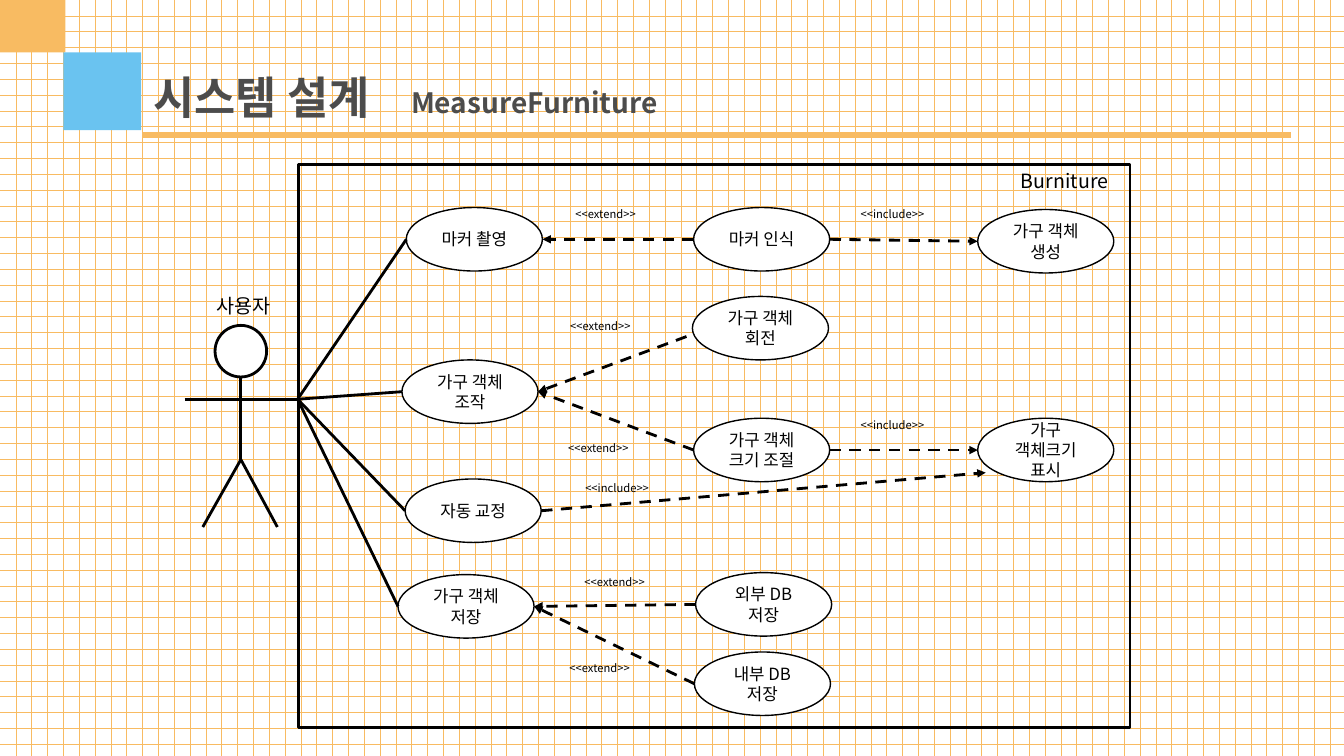
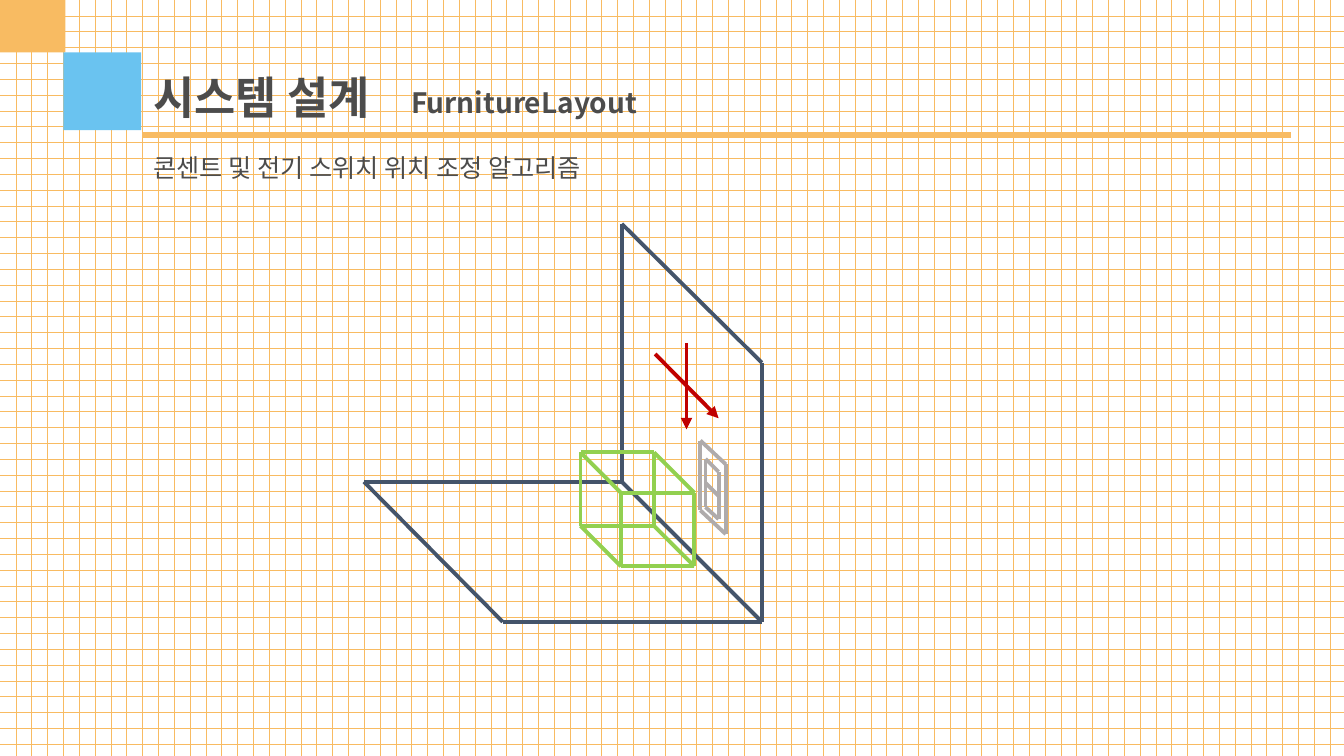
from lxml import etree
from pptx import Presentation
from pptx.dml.color import RGBColor
from pptx.enum.dml import MSO_LINE, MSO_PATTERN_TYPE
from pptx.enum.shapes import MSO_CONNECTOR, MSO_SHAPE
from pptx.enum.text import MSO_ANCHOR, MSO_AUTO_SIZE, PP_ALIGN
from pptx.oxml.ns import qn
from pptx.util import Cm, Pt

STRAIGHT = MSO_CONNECTOR.STRAIGHT
RECT, OVAL = MSO_SHAPE.RECTANGLE, MSO_SHAPE.OVAL
LEFT, CENTER = PP_ALIGN.LEFT, PP_ALIGN.CENTER
TOP, MIDDLE = MSO_ANCHOR.TOP, MSO_ANCHOR.MIDDLE

FONT = "Noto Sans CJK KR"
BLACK = RGBColor(0x00, 0x00, 0x00)
WHITE = RGBColor(0xFF, 0xFF, 0xFF)
GRAY = RGBColor(0x4C, 0x4C, 0x4C)
ORANGE = RGBColor(0xF8, 0xBB, 0x62)
BLUE = RGBColor(0x6A, 0xC3, 0xF0)
NAVY = RGBColor(0x44, 0x54, 0x6A)
SILVER = RGBColor(0xAF, 0xAB, 0xAB)
RED = RGBColor(0xC0, 0x00, 0x00)
GREEN = RGBColor(0x92, 0xD0, 0x50)


def write(tf, text, size=12, bold=False, color=BLACK, align=LEFT, anchor=TOP):
    tf.word_wrap = True
    tf.auto_size = MSO_AUTO_SIZE.NONE
    tf.vertical_anchor = anchor
    p = tf.paragraphs[0]
    p.alignment = align
    r = p.add_run()
    r.text = text
    r.font.size, r.font.bold, r.font.name = Pt(size), bold, FONT
    r.font.color.rgb = color
    etree.SubElement(r.font._element, qn("a:ea"), typeface=FONT)


def line(s, start, end, color=BLACK, width=2, dash=False, arrow=False):
    c = s.shapes.add_connector(STRAIGHT, *[Cm(v) for v in (*start, *end)])
    c.line.color.rgb = color
    c.line.width = Pt(width)
    if dash:
        c.line.dash_style = MSO_LINE.DASH
    spPr = c._element.spPr
    if arrow:
        etree.SubElement(spPr.find(qn("a:ln")), qn("a:tailEnd"), type="triangle")
    etree.SubElement(spPr, qn("a:effectLst"))


prs = Presentation()
prs.slide_width, prs.slide_height = Cm(33.87), Cm(19.05)

# Shared frame: grid, corner squares, rule, title and subtitle
slides = []
for subtitle in ("MeasureFurniture", "FurnitureLayout"):
    s = prs.slides.add_slide(prs.slide_layouts[5])
    slides.append(s)
    grid = s.shapes.add_shape(RECT, 0, 0, prs.slide_width, prs.slide_height)
    grid.shadow.inherit = False
    grid.line.fill.background()
    grid.fill.patterned()
    grid.fill.pattern = MSO_PATTERN_TYPE.DOTTED_GRID
    grid.fill.fore_color.rgb, grid.fill.back_color.rgb = ORANGE, WHITE

    for x, y, w, h, color in ((0, 0, 1.65, 1.32, ORANGE),
                              (1.6, 1.32, 1.96, 1.96, BLUE)):
        square = s.shapes.add_shape(RECT, Cm(x), Cm(y), Cm(w), Cm(h))
        square.shadow.inherit = False
        square.fill.solid()
        square.fill.fore_color.rgb = color
        square.line.fill.background()
    line(s, (3.58, 3.4), (32.54, 3.4), ORANGE, 3.75)

    title = s.shapes.title
    title.left, title.top, title.width, title.height = Cm(3.61), Cm(1.63), Cm(6.4), Cm(1.63)
    s.shapes._spTree.append(title._element)  # in front of the grid
    write(title.text_frame, "시스템 설계", size=32, bold=True, color=GRAY)
    tb = s.shapes.add_textbox(Cm(10.11), Cm(2.03), Cm(13.64), Cm(1.12))
    write(tb.text_frame, subtitle, size=20, bold=True, color=GRAY)

# Slide 1: system boundary and actor
s = slides[0]
for kind, x, y, w, h in ((RECT, 7.52, 4.14, 20.96, 14.2),
                         (OVAL, 5.42, 8.2, 1.3, 1.3)):
    sp = s.shapes.add_shape(kind, Cm(x), Cm(y), Cm(w), Cm(h))
    sp.shadow.inherit = False
    sp.line.color.rgb, sp.line.width = BLACK, Pt(2)
    if kind == OVAL:
        sp.fill.solid()
        sp.fill.fore_color.rgb = WHITE
    else:
        sp.fill.background()

hip, hand = (6.07, 11.58), (7.5, 10.06)
for start, end in (((6.07, 9.5), hip), (hip, (5.11, 13.28)),
                   (hip, (6.99, 13.28)), ((4.65, 10.06), hand)):
    line(s, start, end)

for text, x, y in (("Burniture", 25.48, 4.14), ("사용자", 5.21, 7.29)):
    tb = s.shapes.add_textbox(Cm(x), Cm(y), Cm(3.4), Cm(0.86))
    write(tb.text_frame, text, size=14)

# Use cases: left and top of each oval
CASE_W, CASE_H = 3.43, 1.6
cases = {
    "마커 촬영": (10.24, 5.23),
    "가구 객체 조작": (10.13, 9.07),
    "자동 교정": (10.21, 12.07),
    "가구 객체 저장": (10.03, 14.48),
    "마커 인식": (17.48, 5.23),
    "가구 객체 회전": (17.45, 7.47),
    "가구 객체 크기 조절": (17.48, 10.54),
    "외부 DB 저장": (17.53, 14.43),
    "내부 DB 저장": (17.5, 16.43),
    "가구 객체 생성": (24.64, 5.28),
    "가구 객체크기 표시": (24.64, 10.54),
}
west, east = {}, {}
for name, (x, y) in cases.items():
    sp = s.shapes.add_shape(OVAL, Cm(x), Cm(y), Cm(CASE_W), Cm(CASE_H))
    sp.shadow.inherit = False
    sp.fill.solid()
    sp.fill.fore_color.rgb = WHITE
    sp.line.color.rgb, sp.line.width = BLACK, Pt(1)
    write(sp.text_frame, name, align=CENTER, anchor=MIDDLE)
    west[name] = (x, y + CASE_H / 2)
    east[name] = (x + CASE_W, y + CASE_H / 2)

# The actor takes part in the first column
for name in list(cases)[:4]:
    line(s, hand, west[name])

# Dashed relations: start, end, then label and its place
EXTEND, INCLUDE = "<<extend>>", "<<include>>"
relations = (
    (west["마커 인식"], east["마커 촬영"], EXTEND, 14.25, 5.11),
    (east["마커 인식"], west["가구 객체 생성"], INCLUDE, 21.44, 5.11),
    ((17.3, 8.48), east["가구 객체 조작"], EXTEND, 14.12, 7.92),
    (west["가구 객체 크기 조절"], east["가구 객체 조작"], EXTEND, 14.07, 11),
    (east["가구 객체 크기 조절"], west["가구 객체크기 표시"], INCLUDE, 21.44, 10.41),
    (west["외부 DB 저장"], east["가구 객체 저장"], EXTEND, 14.48, 14.38),
    (west["내부 DB 저장"], east["가구 객체 저장"], EXTEND, 14.1, 16.54),
    (east["자동 교정"], (24.84, 11.91), INCLUDE, 14.5, 12.01),
)
for start, end, label, x, y in relations:
    line(s, start, end, dash=True, arrow=True)
    tb = s.shapes.add_textbox(Cm(x), Cm(y), Cm(3.4), Cm(0.76))
    write(tb.text_frame, label, size=8)

# Slide 2: floor, wall, and switch plate drawn as closed outlines
s = slides[1]
LINE_W = 2.75
outlines = (
    (NAVY, [(9.17, 12.14), (15.67, 12.14), (19.2, 15.67), (12.67, 15.67)]),
    (NAVY, [(15.67, 12.14), (15.67, 5.64), (19.2, 9.14), (19.2, 15.67)]),
    (SILVER, [(17.65, 11.1), (17.65, 12.86), (18.29, 13.46), (18.29, 11.7)]),
    (SILVER, [(17.78, 11.56), (17.78, 12.78), (18.11, 13.08), (18.11, 11.89)]),
)
for color, points in outlines:
    for start, end in zip(points, points[1:] + points[:1]):
        line(s, start, end, color, LINE_W)
line(s, (17.78, 12.17), (18.11, 12.5), SILVER, LINE_W)

# Directions of movement
for start, end in (((16.51, 8.92), (18.11, 10.54)), ((17.3, 8.64), (17.3, 10.82))):
    line(s, start, end, RED, LINE_W, arrow=True)

# Furniture cube: two squares joined at the corners
SIDE, DEPTH = 1.85, 1.02
back = [(14.63 + dx, 11.4 + dy) for dx, dy in ((0, 0), (SIDE, 0), (SIDE, SIDE), (0, SIDE))]
front = [(x + DEPTH, y + DEPTH) for x, y in back]
for i in range(4):
    for start, end in ((back[i - 1], back[i]), (front[i - 1], front[i]), (back[i], front[i])):
        line(s, start, end, GREEN, LINE_W)

tb = s.shapes.add_textbox(Cm(3.61), Cm(3.71), Cm(14.88), Cm(1.02))
write(tb.text_frame, "콘센트 및 전기 스위치 위치 조정 알고리즘", size=18, color=GRAY)

prs.save("out.pptx")
